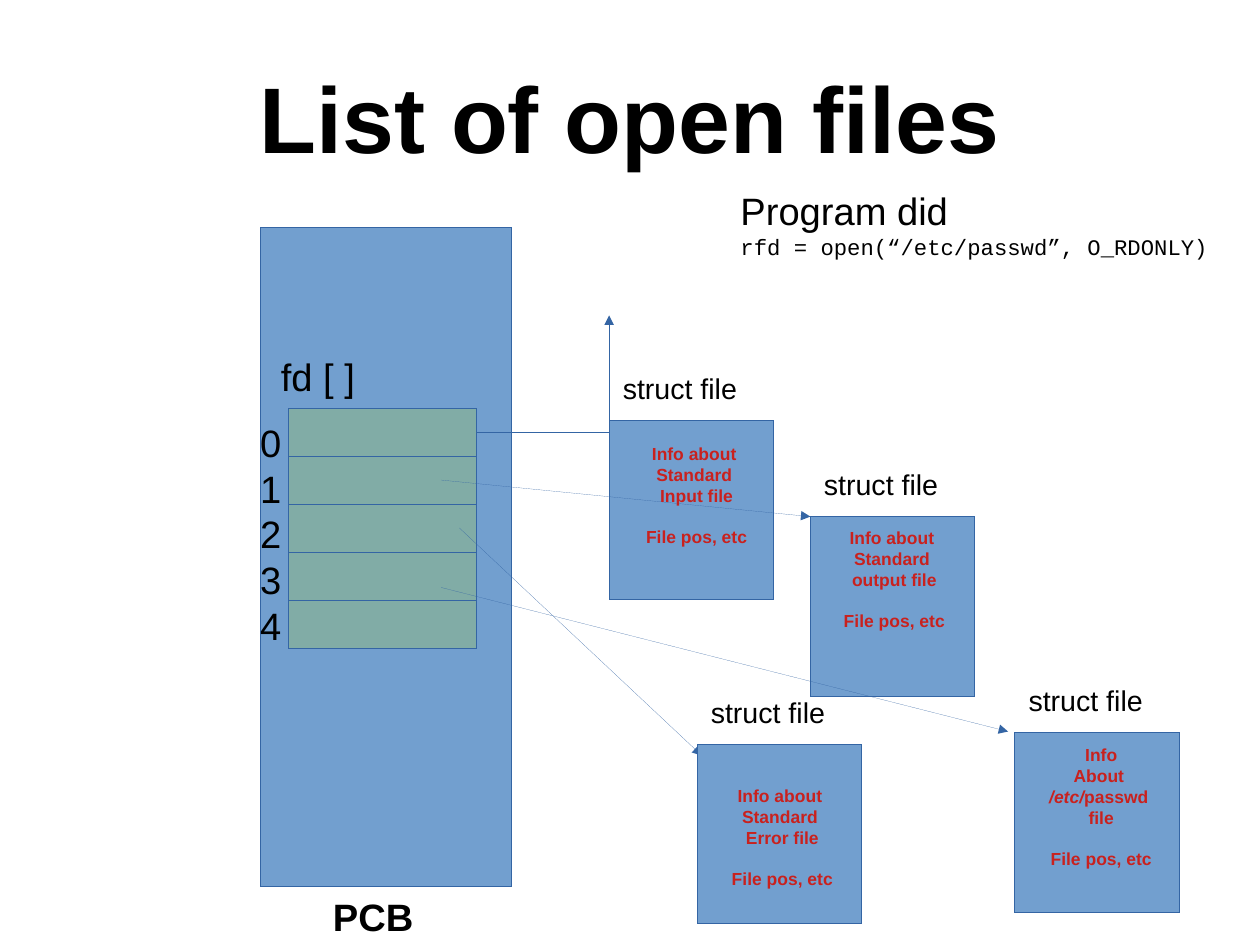
from lxml import etree
from pptx import Presentation
from pptx.dml.color import RGBColor
from pptx.enum.shapes import MSO_CONNECTOR as CONNECTOR, MSO_SHAPE as SHAPE
from pptx.enum.text import MSO_ANCHOR as ANCHOR, PP_ALIGN as ALIGN
from pptx.oxml.ns import qn
from pptx.util import Cm, Inches, Pt

COLORS = {"block": "729FCF", "slot": "81ACA6", "edge": "3465A4",
          "text": "000000", "info": "C9211E"}
CELL = Inches(0.1)  # side of one square of the layout grid
HAIRLINE = Pt(0.01)

presentation = Presentation()
presentation.slide_width, presentation.slide_height = Cm(28), Cm(21)
slide = presentation.slides.add_slide(presentation.slide_layouts[5])
shapes = slide.shapes


def write(text, at=None, shape=None, size=18, font="Arial", color="text", bold=False,
          align=ALIGN.LEFT, anchor=ANCHOR.TOP, margins=(1, 0.5), wrap=True):
    """Fill a shape, or a new text box, line by line; *stars* mark italics."""
    shape = shape or shapes.add_textbox(*[round(cell * CELL) for cell in at])
    frame = shape.text_frame
    frame.word_wrap, frame.vertical_anchor = wrap, anchor
    frame.margin_left = frame.margin_right = round(margins[0] * CELL)
    frame.margin_top = frame.margin_bottom = round(margins[1] * CELL)
    for number, line in enumerate(text.split("\n")):
        paragraph = frame.add_paragraph() if number else frame.paragraphs[0]
        paragraph.alignment = align
        for part, words in enumerate(line.split("*")):
            if words:
                run = paragraph.add_run()
                run.text = words
                run.font.size, run.font.name = Pt(size), font
                run.font.bold, run.font.italic = bold, part % 2 == 1
                run.font.color.rgb = RGBColor.from_string(COLORS[color])
    return frame


def draw(kind, *cells, fill=None):
    """Draw a filled rectangle, or an arrow when no fill is given."""
    lengths = [round(cell * CELL) for cell in cells]
    if fill:
        shape = shapes.add_shape(kind, *lengths)
        shape.shadow.inherit = False
        shape.fill.solid()
        shape.fill.fore_color.rgb = RGBColor.from_string(COLORS[fill])
    else:
        shape = shapes.add_connector(kind, *lengths)
    shape.line.color.rgb = RGBColor.from_string(COLORS["edge"])
    shape.line.width = HAIRLINE
    if not fill:
        properties = shape.element.spPr
        etree.SubElement(properties.find(qn("a:ln")), qn("a:tailEnd"), type="triangle")
        etree.SubElement(properties, qn("a:effectLst"))
    return shape


title = shapes.title
title.left, title.top = round(5.5 * CELL), round(3.3 * CELL)
title.width, title.height = round(99.2 * CELL), round(13.8 * CELL)
write("List of open files", shape=title, size=58.7, bold=True,
      align=ALIGN.CENTER, anchor=ANCHOR.MIDDLE, margins=(0, 0))

# Process control block with its descriptor table
draw(SHAPE.RECTANGLE, 22.8, 19.9, 22, 57.7, fill="block")
for row in range(5):
    draw(SHAPE.RECTANGLE, 25.2, 35.7 + 4.2 * row, 16.5, 4.2, fill="slot")
write("fd [ ]", at=(23.6, 30.4, 8.7, 5.1), size=24, wrap=False)
write("PCB", at=(22.8, 77.7, 19.7, 5.1), size=24, bold=True, align=ALIGN.CENTER)
write("0\n1\n2\n3\n4", at=(18.5, 36.2, 7.1, 20), size=24, align=ALIGN.RIGHT)

elbow = draw(CONNECTOR.ELBOW, 41.7, 37.8, 53.3, 27.6)
elbow.element.spPr.find(qn("a:prstGeom")).set("prst", "bentConnector2")

# Box corner, arrow into the box, offset of the details inside it, details
files = [
    ((53.3, 36.8), None, (2.1, 1.5),
     "Info about \nStandard \nInput file\nFile pos, etc"),
    ((70.9, 45.2), (38.6, 42, 70.9, 45.2), (1.8, 0.4),
     "Info about \nStandard \noutput file\nFile pos, etc"),
    ((61, 65.1), (40.2, 46.2, 61.4, 66.1), (1.9, 3.1),
     "Info about \nStandard \nError file\nFile pos, etc"),
    ((88.8, 64.1), (38.6, 51.4, 88.2, 64), (2, 0.5),
     "Info\nAbout \n*/etc/*passwd \nfile\nFile pos, etc"),
]
for (left, top), arrow, _, _ in files:
    if arrow:
        draw(CONNECTOR.STRAIGHT, *arrow)
    draw(SHAPE.RECTANGLE, left, top, 14.4, 15.7, fill="block")
    write("struct file", at=(left + 0.2, top - 4.8, 14.2, 8.4))
for (left, top), _, (right, down), details in files:
    frame = write(details, at=(left + right, top + down, 11.1, 12.7), size=11,
                  color="info", bold=True, align=ALIGN.CENTER)
    frame.paragraphs[-1].space_before = Pt(12.6)

call = write("Program did\nrfd = open(“/etc/passwd”, O_RDONLY)",
             at=(63.8, 15.9, 45.7, 16.2), size=24)
code = call.paragraphs[1].runs[0].font
code.size, code.name = Pt(14), "Courier New"

presentation.save("out.pptx")
